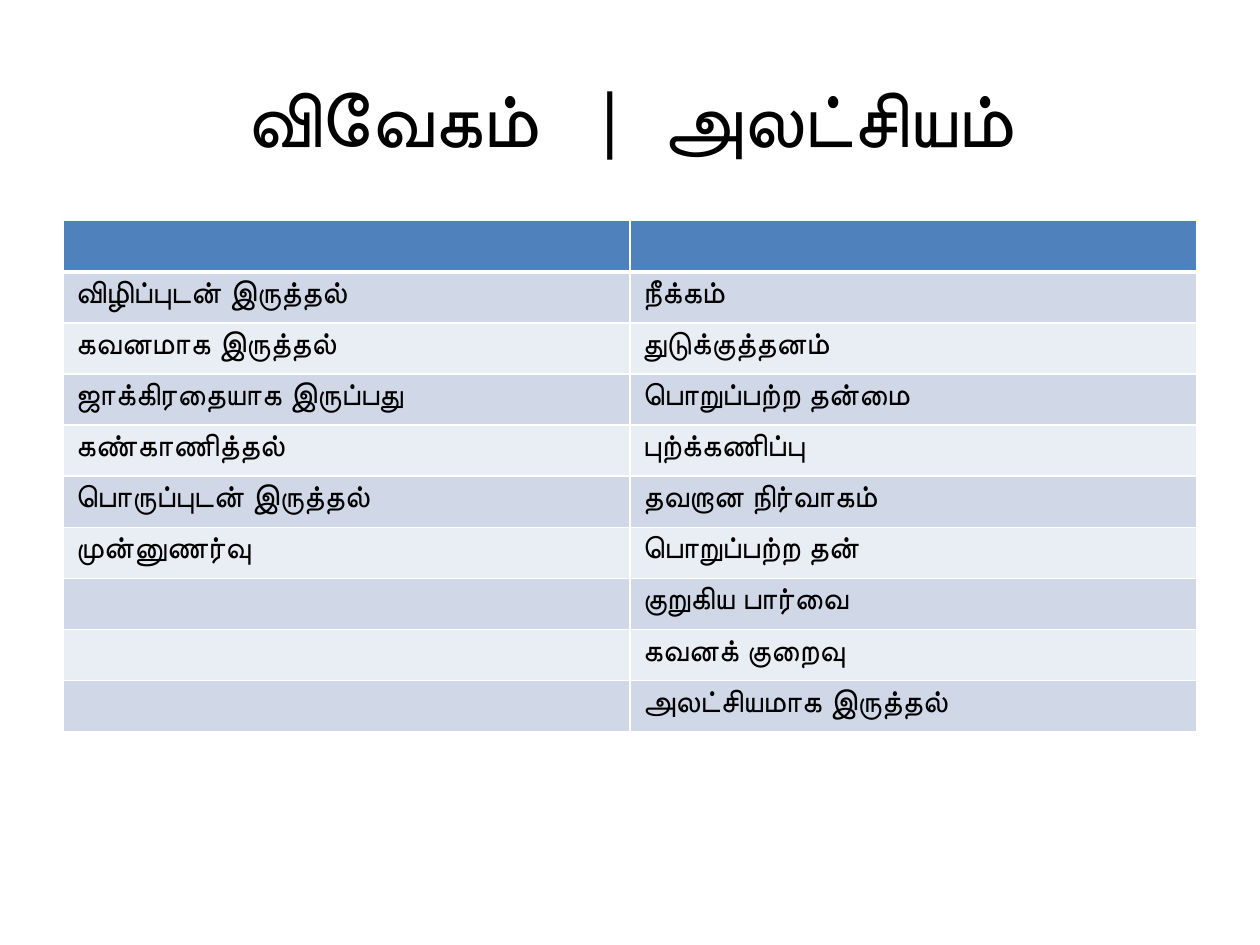
"""Build a slide with a two-column Tamil table contrasting prudence and neglect."""
from lxml import etree
from pptx import Presentation
from pptx import util as u
from pptx.dml.color import RGBColor
from pptx.enum import text
from pptx.oxml.ns import qn

COLOURS = {
    "ink": "000000",
    "header": "4F81BD",
    "odd": "D0D8E8",
    "even": "E9EDF4",
    "border": "FFFFFF",
}
FONT = "Calibri"
TITLE_PARTS = [("விவேகம்", 0), (" ", 20), ("|", 0), (" ", 10), ("அலட்சியம்", 0)]
ROWS = [
    ("", ""),
    ("விழிப்புடன் இருத்தல்", "நீக்கம்"),
    ("கவனமாக இருத்தல்", "துடுக்குத்தனம்"),
    ("ஜாக்கிரதையாக இருப்பது", "பொறுப்பற்ற தன்மை"),
    ("கண்காணித்தல்", "புற்க்கணிப்பு"),
    ("பொருப்புடன் இருத்தல்", "தவறான நிர்வாகம்"),
    ("முன்னுணர்வு", "பொறுப்பற்ற தன்"),
    ("", "குறுகிய பார்வை"),
    ("", "கவனக் குறைவு"),
    ("", "அலட்சியமாக இருத்தல்"),
]


def style_font(font, size):
    font.name = FONT
    font.size = u.Pt(size)
    font.color.rgb = RGBColor.from_string(COLOURS["ink"])


def add_border(cell, side, points):
    line = etree.SubElement(cell._tc.get_or_add_tcPr(), qn(f"a:ln{side}"), w=str(u.Pt(points)))
    fill = etree.SubElement(line, qn("a:solidFill"))
    etree.SubElement(fill, qn("a:srgbClr"), val=COLOURS["border"])


deck = Presentation()
deck.slide_width, deck.slide_height = u.Cm(25.4), u.Cm(19.05)
page = deck.slides.add_slide(deck.slide_layouts[6])

title_box = page.shapes.add_textbox(u.Cm(1.27), u.Cm(0.76), u.Cm(22.86), u.Cm(3.18))
title_box.text_frame.word_wrap = True
title_box.text_frame.vertical_anchor = text.MSO_ANCHOR.MIDDLE
para = title_box.text_frame.paragraphs[0]
para.alignment = text.PP_ALIGN.CENTER
for words, spacing in TITLE_PARTS:
    span = para.add_run()
    span.text = words
    style_font(span.font, 44)
    if spacing:
        span._r.get_or_add_rPr().set("spc", str(spacing * 100))

table = page.shapes.add_table(
    len(ROWS), 2, u.Cm(1.27), u.Cm(4.45), u.Cm(22.86), u.Cm(10.3)
).table
for row_index, row in enumerate(ROWS):
    table.rows[row_index].height = u.Cm(1.03)
    band = "header" if row_index == 0 else "odd" if row_index % 2 else "even"
    for column_index, words in enumerate(row):
        cell = table.cell(row_index, column_index)
        add_border(cell, "L", 1)
        add_border(cell, "R", 1)
        add_border(cell, "T", 3 if row_index == 1 else 1)
        add_border(cell, "B", 3 if row_index == 0 else 1)
        cell.fill.solid()
        cell.fill.fore_color.rgb = RGBColor.from_string(COLOURS[band])
        cell.text_frame.text = words
        for span in cell.text_frame.paragraphs[0].runs:
            style_font(span.font, 18)

deck.save("out.pptx")
